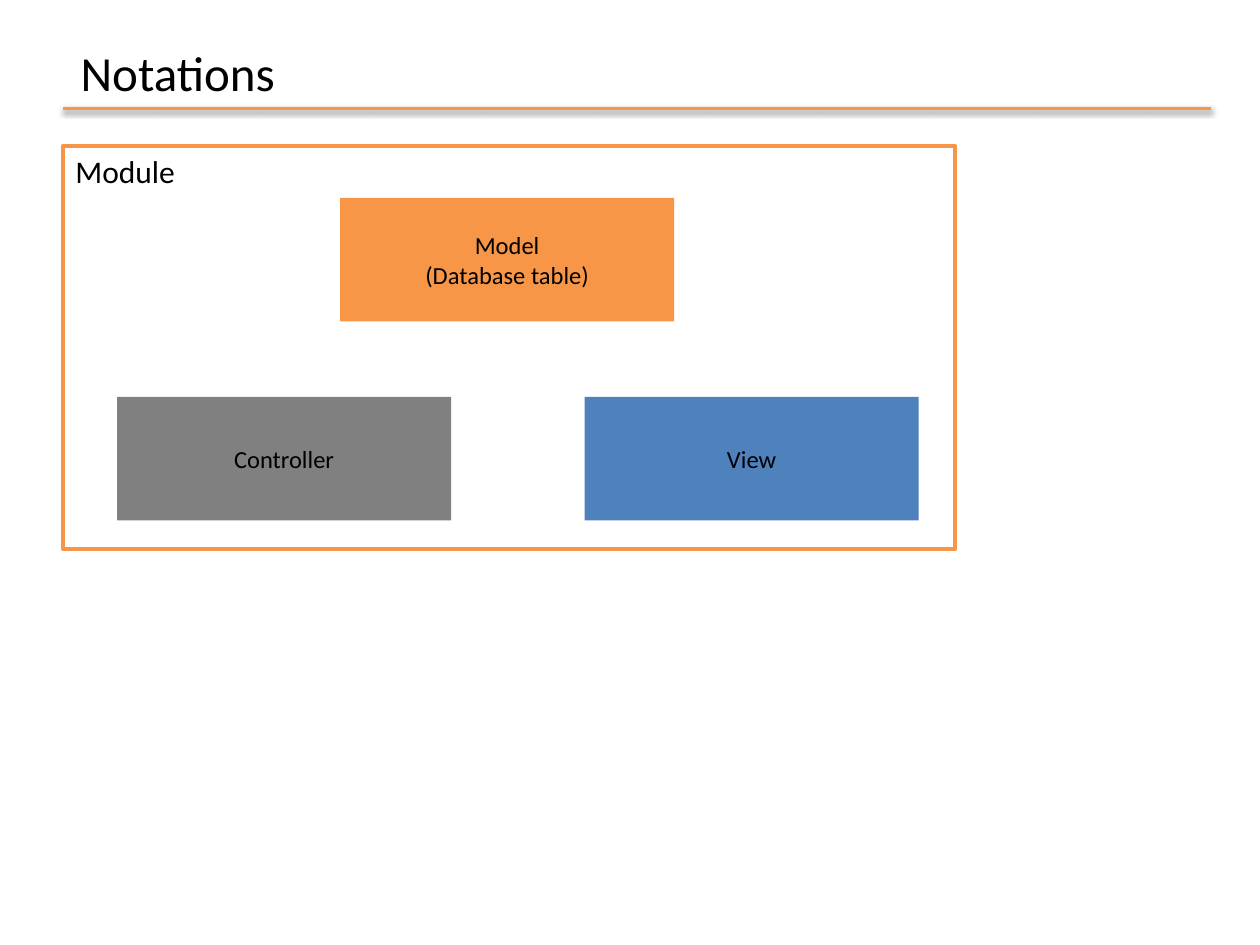
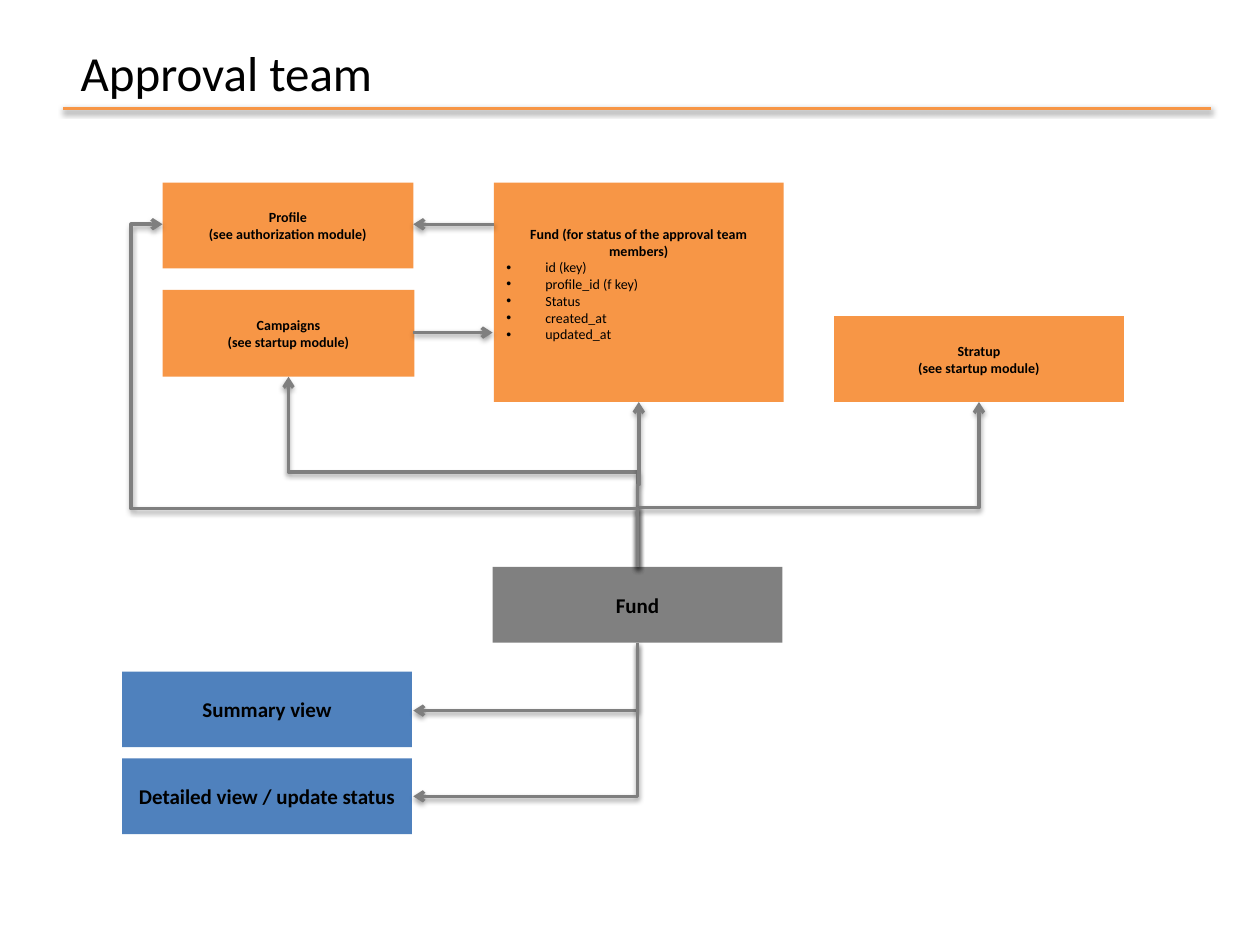
"""Build two slides: the diagram notation and the approval team module."""
from dataclasses import dataclass

from lxml import etree
from pptx import Presentation
from pptx.dml.color import RGBColor
from pptx.enum.shapes import MSO_CONNECTOR, MSO_SHAPE
from pptx.enum.text import MSO_ANCHOR, MSO_AUTO_SIZE, PP_ALIGN
from pptx.oxml.ns import qn
from pptx.shapes.autoshape import Shape
from pptx.shapes.connector import Connector
from pptx.slide import Slide
from pptx.text.text import _Paragraph as Paragraph
from pptx.util import Inches, Pt

RECTANGLE = MSO_SHAPE.RECTANGLE
STRAIGHT, ELBOW = MSO_CONNECTOR.STRAIGHT, MSO_CONNECTOR.ELBOW
TOP, MIDDLE = MSO_ANCHOR.TOP, MSO_ANCHOR.MIDDLE
LEFT, CENTER = PP_ALIGN.LEFT, PP_ALIGN.CENTER
NO_AUTO_SIZE = MSO_AUTO_SIZE.NONE
TITLE_ONLY = 5


@dataclass(frozen=True)
class Theme:
    """Colours, font and type sizes shared by the slides."""

    model: RGBColor = RGBColor(0xF7, 0x96, 0x46)
    controller: RGBColor = RGBColor(0x80, 0x80, 0x80)
    view: RGBColor = RGBColor(0x4F, 0x81, 0xBD)
    arrow: RGBColor = RGBColor(0x7F, 0x7F, 0x7F)
    text: RGBColor = RGBColor(0, 0, 0)
    font: str = "Calibri"
    title_size: int = 28
    module_size: int = 18
    notation_size: int = 14
    label_size: int = 12
    detail_size: int = 8
    line_width: int = 2


THEME = Theme()


@dataclass(frozen=True)
class Box:
    """A filled rectangle with a centred label."""

    text: str
    left: float
    top: float
    width: float
    height: float
    fill: RGBColor
    size: int
    bold: bool = True


@dataclass(frozen=True)
class Route:
    """An elbow arrow that leaves its start vertically."""

    start: tuple[float, float]
    end: tuple[float, float]
    preset: str
    bends: tuple[float, ...] = ()


def format_paragraph(
    paragraph: Paragraph, size: int, alignment: PP_ALIGN, bold: bool = False
) -> None:
    """Apply the theme font and an alignment to a paragraph."""
    paragraph.alignment = alignment
    for run in paragraph.runs:
        run.font.name = THEME.font
        run.font.size = Pt(size)
        run.font.bold = bold
        run.font.color.rgb = THEME.text


def add_bullet(paragraph: Paragraph) -> None:
    """Give a paragraph a round bullet and a hanging indent."""
    properties = paragraph._p.get_or_add_pPr()
    properties.set("marL", str(Inches(0.31)))
    properties.set("indent", str(-Inches(0.31)))
    etree.SubElement(properties, qn("a:buFont"), typeface="Arial")
    etree.SubElement(properties, qn("a:buChar"), char="•")


def add_box(slide: Slide, box: Box) -> Shape:
    """Draw a filled box with its label."""
    shape = slide.shapes.add_shape(
        RECTANGLE, Inches(box.left), Inches(box.top), Inches(box.width), Inches(box.height)
    )
    shape.shadow.inherit = False
    shape.fill.solid()
    shape.fill.fore_color.rgb = box.fill
    shape.line.fill.background()
    shape.text_frame.text = box.text
    shape.text_frame.vertical_anchor = MIDDLE
    for paragraph in shape.text_frame.paragraphs:
        format_paragraph(paragraph, box.size, CENTER, box.bold)
    return shape


def style_connector(connector: Connector, color: RGBColor, arrow: bool) -> None:
    """Set the line, the arrowhead and the soft shadow of a connector."""
    connector.line.color.rgb = color
    connector.line.width = Pt(THEME.line_width)
    properties = connector.element.spPr
    if arrow:
        etree.SubElement(properties.find(qn("a:ln")), qn("a:tailEnd"), type="arrow")
    effects = etree.SubElement(properties, qn("a:effectLst"))
    shadow = etree.SubElement(
        effects, qn("a:outerShdw"), blurRad=str(Pt(3.1)), dist=str(Pt(1.6)),
        dir="5400000", rotWithShape="0",
    )
    shade = etree.SubElement(shadow, qn("a:srgbClr"), val="000000")
    etree.SubElement(shade, qn("a:alpha"), val="38000")


def add_line(
    slide: Slide, start: tuple[float, float], end: tuple[float, float],
    color: RGBColor, arrow: bool = True,
) -> None:
    """Draw a straight line or arrow."""
    connector = slide.shapes.add_connector(
        STRAIGHT, *(Inches(value) for value in start + end)
    )
    style_connector(connector, color, arrow)


def add_route(slide: Slide, route: Route) -> None:
    """Draw an elbow arrow as a box turned about the middle of its route."""
    (start_x, start_y), (end_x, end_y) = route.start, route.end
    width, height = abs(end_y - start_y), abs(end_x - start_x)
    left = (start_x + end_x - width) / 2
    top = (start_y + end_y - height) / 2
    connector = slide.shapes.add_connector(
        ELBOW, Inches(left), Inches(top), Inches(left + width), Inches(top + height)
    )
    upward, leftward = end_y < start_y, end_x < start_x
    transform = connector.element.spPr.find(qn("a:xfrm"))
    transform.set("rot", str((270 if upward else 90) * 60000))
    if upward == leftward:
        transform.set("flipV", str(int(upward)))
    geometry = connector.element.spPr.find(qn("a:prstGeom"))
    geometry.set("prst", route.preset)
    adjustments = geometry.find(qn("a:avLst"))
    for number, bend in enumerate(route.bends, start=1):
        etree.SubElement(
            adjustments, qn("a:gd"), name=f"adj{number}", fmla=f"val {round(bend * 100000)}"
        )
    style_connector(connector, THEME.arrow, arrow=True)


def add_titled_slide(presentation: Presentation, title: str) -> Slide:
    """Add a slide with its title and the rule below it."""
    slide = presentation.slides.add_slide(presentation.slide_layouts[TITLE_ONLY])
    shape = slide.shapes.title
    shape.left, shape.top = Inches(0.54), Inches(0.29)
    shape.width, shape.height = Inches(2.8), Inches(0.57)
    frame = shape.text_frame
    frame.text = title
    frame.auto_size = NO_AUTO_SIZE
    frame.vertical_anchor = TOP
    format_paragraph(frame.paragraphs[0], THEME.title_size, LEFT)
    add_line(slide, (0.5, 0.86), (9.61, 0.86), THEME.model, arrow=False)
    return slide


def add_module_frame(slide: Slide) -> None:
    """Draw the outlined frame that stands for a module."""
    frame = slide.shapes.add_shape(
        RECTANGLE, Inches(0.5), Inches(1.16), Inches(7.08), Inches(3.2)
    )
    frame.shadow.inherit = False
    frame.fill.background()
    frame.line.color.rgb = THEME.model
    frame.line.width = Pt(THEME.line_width)
    frame.text_frame.text = "Module"
    frame.text_frame.vertical_anchor = TOP
    format_paragraph(frame.text_frame.paragraphs[0], THEME.module_size, LEFT)


def build_notations(presentation: Presentation) -> None:
    """Build the slide that explains the box colours."""
    slide = add_titled_slide(presentation, "Notations")
    add_module_frame(slide)
    for text, left, top, fill in (
        ("Model\n(Database table)", 2.7, 1.57, THEME.model),
        ("Controller", 0.93, 3.15, THEME.controller),
        ("View", 4.64, 3.15, THEME.view),
    ):
        add_box(slide, Box(text, left, top, 2.65, 0.98, fill, THEME.notation_size, False))


def add_fund_model(slide: Slide) -> None:
    """Draw the fund table with its list of fields."""
    heading = "Fund (for status of the approval team members)"
    shape = add_box(
        slide, Box(heading, 3.92, 1.45, 2.3, 1.74, THEME.model, THEME.detail_size)
    )
    shape.text_frame.margin_bottom = Inches(0.18)
    for field in ("id (key)", "profile_id (f key)", "Status", "created_at", "updated_at"):
        paragraph = shape.text_frame.add_paragraph()
        paragraph.text = field
        format_paragraph(paragraph, THEME.detail_size, LEFT)
        add_bullet(paragraph)


def build_approval_team(presentation: Presentation) -> None:
    """Build the diagram of the approval team module."""
    slide = add_titled_slide(presentation, "Approval team")
    controller_top, controller_bottom = (5.06, 4.5), (5.06, 5.1)
    routes = (
        Route(controller_top, (2.29, 2.99), "bentConnector3", (0.5,)),
        Route(controller_top, (5.07, 3.19), "bentConnector3", (0.5,)),
        Route(controller_top, (7.77, 3.19), "bentConnector3", (0.36,)),
        Route(controller_top, (1.29, 1.78), "bentConnector4", (0.17, 1.066)),
        Route(controller_bottom, (3.28, 5.64), "bentConnector2"),
        Route(controller_bottom, (3.28, 6.32), "bentConnector2"),
    )
    boxes = (
        Box("Profile\n(see authorization module)", 1.29, 1.45, 1.99, 0.68,
            THEME.model, THEME.detail_size),
        Box("Campaigns\n(see startup module)", 1.29, 2.3, 2, 0.69,
            THEME.model, THEME.detail_size),
        Box("Stratup\n(see startup module)", 6.62, 2.51, 2.3, 0.68,
            THEME.model, THEME.detail_size),
        Box("Fund", 3.91, 4.5, 2.3, 0.6, THEME.controller, THEME.label_size),
        Box("Summary view", 0.97, 5.33, 2.3, 0.6, THEME.view, THEME.label_size),
        Box("Detailed view / update status", 0.97, 6.02, 2.3, 0.6,
            THEME.view, THEME.label_size),
    )
    add_fund_model(slide)
    for box in boxes:
        add_box(slide, box)
    for route in routes:
        add_route(slide, route)
    add_line(slide, (3.92, 1.78), (3.28, 1.78), THEME.arrow)
    add_line(slide, (3.28, 2.64), (3.91, 2.64), THEME.arrow)


def main() -> None:
    """Build and save the presentation."""
    presentation = Presentation()
    presentation.slide_width, presentation.slide_height = Inches(10), Inches(7.5)
    build_notations(presentation)
    build_approval_team(presentation)
    presentation.save("out.pptx")


main()
